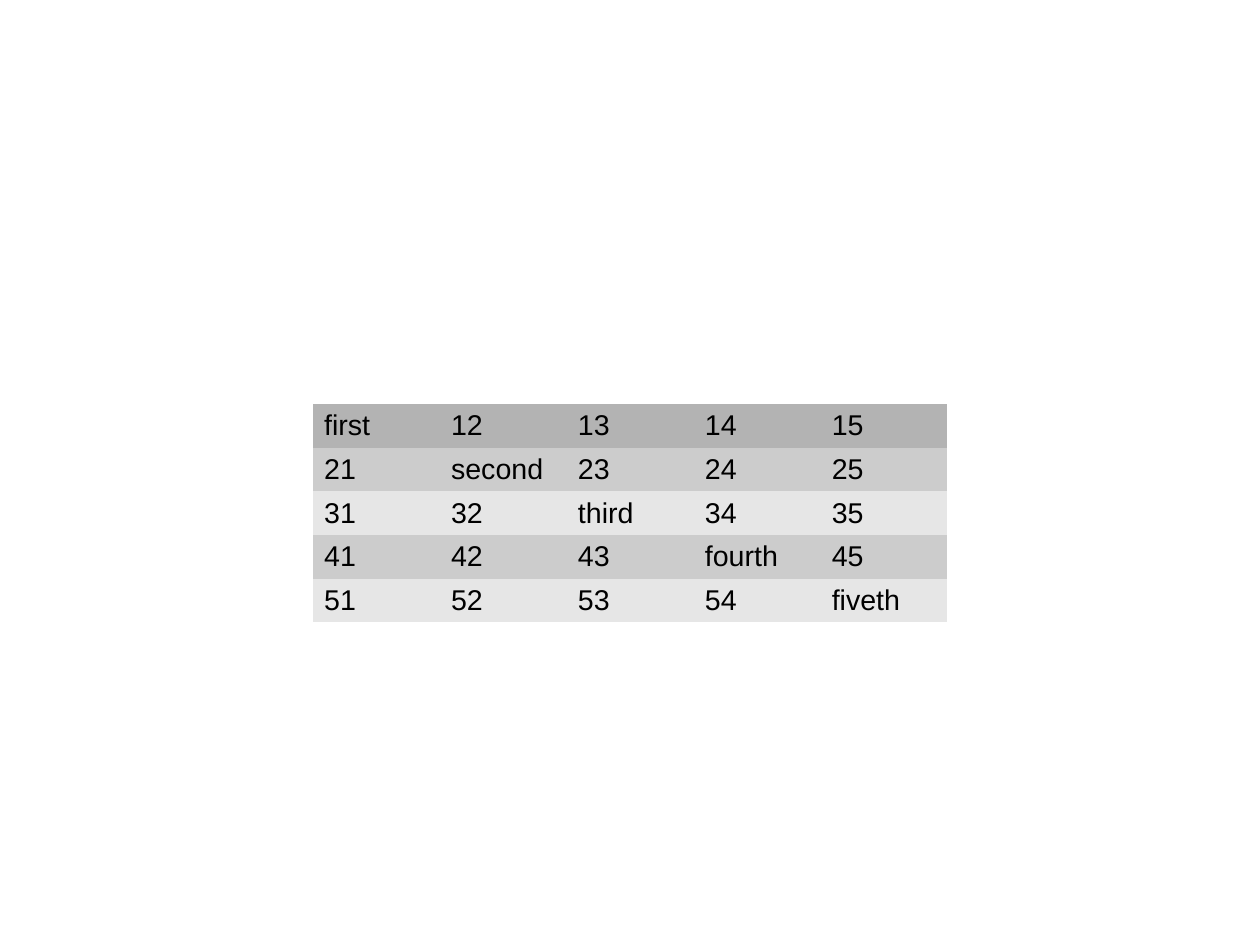
from dataclasses import dataclass

from pptx import Presentation
from pptx.dml.color import RGBColor
from pptx.oxml.ns import qn
from pptx.table import Table, _Cell
from pptx.util import Cm, Pt

WIDTH, HEIGHT = Cm(28), Cm(21)
LEFT, TOP = Cm(6.95), Cm(8.98)
COL, ROW = Cm(2.82), Cm(0.97)
PLAIN = "{2D5ABB26-0587-4C30-8999-92F81FD0307C}"
HEAD, DARK, LIGHT = "B3B3B3", "CCCCCC", "E6E6E6"


@dataclass
class Band:
    """A table row with its fill."""

    texts: list[str]
    fill: str


BANDS = [
    Band(["first", "12", "13", "14", "15"], HEAD),
    Band(["21", "second", "23", "24", "25"], DARK),
    Band(["31", "32", "third", "34", "35"], LIGHT),
    Band(["41", "42", "43", "fourth", "45"], DARK),
    Band(["51", "52", "53", "54", "fiveth"], LIGHT),
]


def color(code: str) -> RGBColor:
    """Turn a hex string into a colour."""
    return RGBColor.from_string(code)


def write(cell: _Cell, text: str, fill: str) -> None:
    """Fill one cell and set its text."""
    cell.fill.solid()
    cell.fill.fore_color.rgb = color(fill)
    cell.text = text
    font = cell.text_frame.paragraphs[0].font
    font.name, font.size = "Arial", Pt(18)
    font.color.rgb = color("000000")


def draw(table: Table, bands: list[Band]) -> None:
    """Write all bands into a table without borders."""
    table.first_row = table.horz_banding = False
    table._tbl.tblPr.find(qn("a:tableStyleId")).text = PLAIN
    for row, band in zip(table.rows, bands):
        for cell, text in zip(row.cells, band.texts):
            write(cell, text, band.fill)


def main() -> None:
    """Build the slide and save it."""
    deck = Presentation()
    deck.slide_width, deck.slide_height = WIDTH, HEIGHT
    slide = deck.slides.add_slide(deck.slide_layouts.get_by_name("Blank"))
    rows, cols = len(BANDS), len(BANDS[0].texts)
    frame = slide.shapes.add_table(rows, cols, LEFT, TOP, cols * COL, rows * ROW)
    draw(frame.table, BANDS)
    deck.save("out.pptx")


if __name__ == "__main__":
    main()
